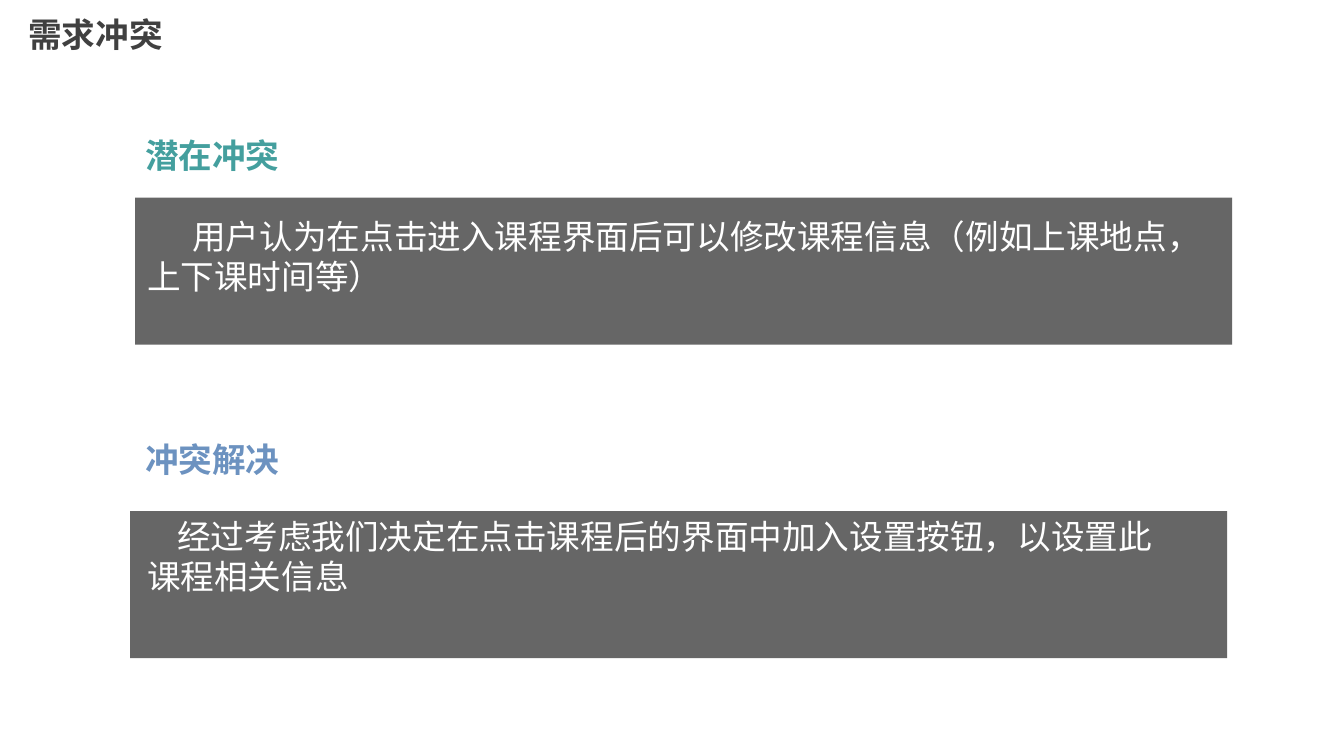
from lxml.etree import SubElement
from pptx import Presentation
from pptx.dml.color import RGBColor
from pptx.enum.shapes import MSO_SHAPE
from pptx.enum.text import MSO_ANCHOR, MSO_AUTO_SIZE, PP_ALIGN
from pptx.oxml.ns import qn
from pptx.util import Inches, Pt

TITLE = "需求冲突"
# Each section: heading, heading colour key, heading top, panel (left, top),
# body text, body (top, width, height), first-line indent
SECTIONS = [
    ("潜在冲突", "teal", 1.29, (1.34, 1.96),
     "用户认为在点击进入课程界面后可以修改课程信息（例如上课地点，上下课时间等）",
     (2.09, 10.82, 0.91), 0.45),
    ("冲突解决", "blue", 4.31, (1.29, 5.07),
     "经过考虑我们决定在点击课程后的界面中加入设置按钮，以设置此课程相关信息",
     (5.07, 10.45, 0.91), 0.3),
]
THEME = {
    "font": "Noto Sans CJK SC", "size": 24,
    "title": "404040", "teal": "449F9E", "blue": "6C92C0",
    "body": "FFFFFF", "panel": "262626", "panel_alpha": 70,
}
HEADING_SIZE = (1.56, 0.5)
PANEL_SIZE = (10.88, 1.46)
HEADING_LEFT, BODY_LEFT = 1.34, 1.36


def write_text(sp, text, color, bold=False, wrap=False, indent=0):
    tf = sp.text_frame
    tf.word_wrap = wrap
    tf.auto_size = MSO_AUTO_SIZE.SHAPE_TO_FIT_TEXT
    tf.vertical_anchor = MSO_ANCHOR.TOP
    p = tf.paragraphs[0]
    p.alignment = PP_ALIGN.LEFT
    if indent:
        pPr = p._p.get_or_add_pPr()
        pPr.set("marL", "0")
        pPr.set("indent", str(Inches(indent)))
    r = p.add_run()
    r.text = text
    r.font.size = Pt(THEME["size"])
    r.font.bold = bold
    r.font.color.rgb = RGBColor.from_string(THEME[color])
    r.font.name = THEME["font"]
    SubElement(r._r.get_or_add_rPr(), qn("a:ea"), typeface=THEME["font"])


def place(sp, *box):
    sp.left, sp.top, sp.width, sp.height = map(Inches, box)


def add_text(slide, box, text, color, **fmt):
    sp = slide.shapes.add_textbox(*map(Inches, box))
    write_text(sp, text, color, **fmt)


def add_panel(slide, box):
    sp = slide.shapes.add_shape(MSO_SHAPE.RECTANGLE, *map(Inches, box))
    sp.shadow.inherit = False
    sp.line.fill.background()
    sp.fill.solid()
    sp.fill.fore_color.rgb = RGBColor.from_string(THEME["panel"])
    clr = sp._element.spPr.find(qn("a:solidFill")).find(qn("a:srgbClr"))
    SubElement(clr, qn("a:alpha"), val=str(THEME["panel_alpha"] * 1000))


def main():
    prs = Presentation()
    prs.slide_width, prs.slide_height = Inches(13.33), Inches(7.5)
    slide = prs.slides.add_slide(prs.slide_layouts[5])

    title = slide.shapes.title
    place(title, 0.18, 0.09, *HEADING_SIZE)
    write_text(title, TITLE, "title", bold=True)

    for heading, color, top, panel, body, (body_top, w, h), indent in SECTIONS:
        add_panel(slide, (*panel, *PANEL_SIZE))
        add_text(slide, (HEADING_LEFT, top, *HEADING_SIZE), heading, color, bold=True)
        add_text(slide, (BODY_LEFT, body_top, w, h), body, "body", wrap=True, indent=indent)

    prs.save("out.pptx")


if __name__ == "__main__":
    main()
